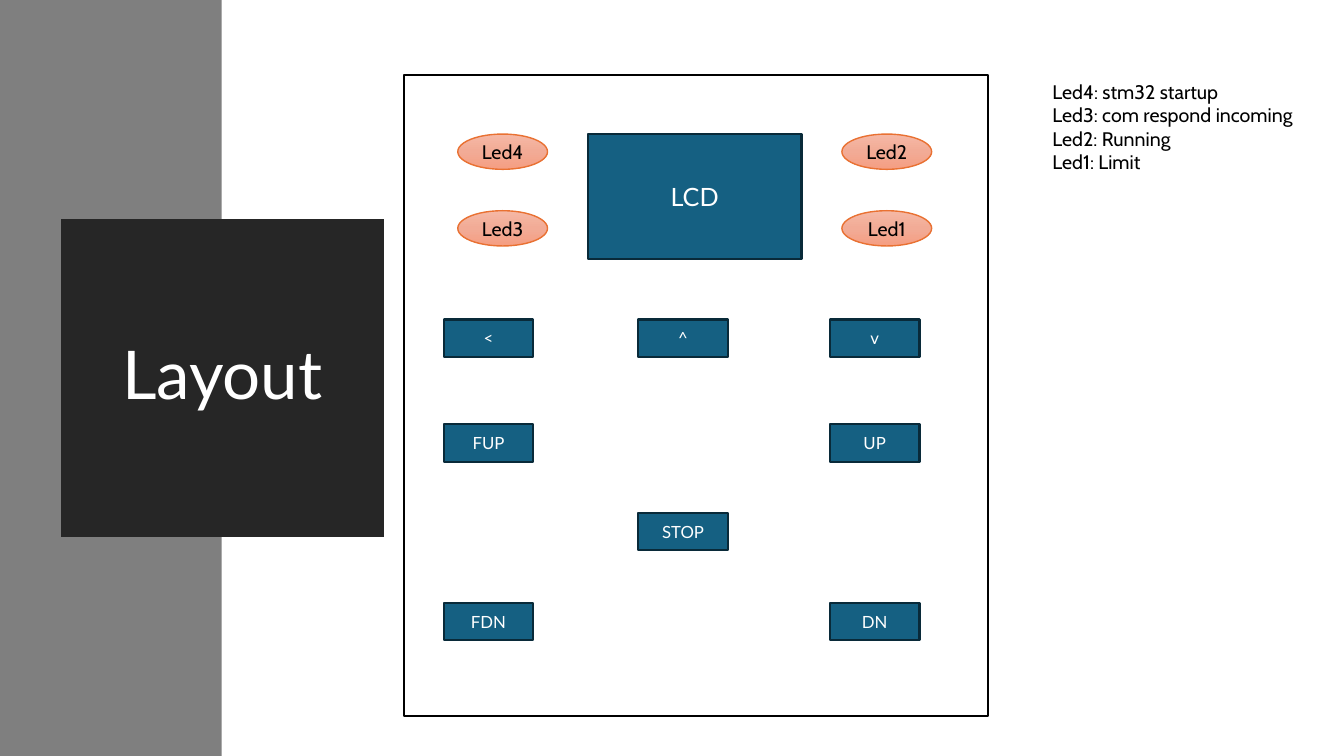
from copy import deepcopy

from pptx import Presentation
from pptx import util as u
from pptx.dml.color import RGBColor
from pptx.enum import shapes, text
from pptx.oxml import ns, xmlchemy

HEADING_FONT, LABEL_FONT = "Lato", "Cabin"
WHITE, BLACK = "FFFFFF", "000000"
PANEL_BLUE, PANEL_EDGE = "156082", "092A39"
LED_STOPS, LED_EDGE = ("F5B8A5", "F2AB96", "F59E82"), "E97132"
BAND_GREY, TITLE_DARK = "7F7F7F", "262626"


def colour(value):
    return RGBColor.from_string(value)


class PanelSlide:
    """Draws the parts of a control panel on one slide."""

    def __init__(self, slide):
        self.slide = slide

    def set_text(self, shape, lines, size, font, ink, align=text.PP_ALIGN.CENTER):
        frame = shape.text_frame
        frame.word_wrap = True
        frame.text = "\n".join(lines)
        for paragraph in frame.paragraphs:
            paragraph.alignment = align
            paragraph.font.size = u.Pt(size)
            paragraph.font.name = font
            paragraph.font.color.rgb = colour(ink)
        return frame

    def outline(self, shape, edge, width):
        shape.line.color.rgb = colour(edge)
        shape.line.width = u.Pt(width)

    def add(self, kind, place):
        shape = self.slide.shapes.add_shape(kind, *map(u.Inches, place))
        shape.shadow.inherit = False
        return shape

    def box(self, place, fill, edge=None, label=None, size=12):
        shape = self.add(shapes.MSO_SHAPE.RECTANGLE, place)
        shape.fill.solid()
        shape.fill.fore_color.rgb = colour(fill)
        if edge:
            self.outline(shape, edge, 1.5)
        else:
            shape.line.fill.background()
        if label:
            frame = self.set_text(shape, [label], size, HEADING_FONT, WHITE)
            frame.vertical_anchor = text.MSO_ANCHOR.MIDDLE
        return shape

    def led(self, left, top, label):
        shape = self.add(shapes.MSO_SHAPE.OVAL, (left, top, 0.89, 0.35))
        shape.fill.gradient()
        shape.fill.gradient_angle = 270
        first = shape._element.spPr.find(".//" + ns.qn("a:gs"))
        first.addnext(deepcopy(first))
        for index, stop in enumerate(shape.fill.gradient_stops):
            stop.position = index / 2
            stop.color.rgb = colour(LED_STOPS[index])
        self.outline(shape, LED_EDGE, 1)
        frame = self.set_text(shape, [label], 14, LABEL_FONT, BLACK)
        frame.vertical_anchor = text.MSO_ANCHOR.MIDDLE
        frame.word_wrap = False

    def title(self, place, label):
        shape = self.slide.shapes.title
        shape.left, shape.top, shape.width, shape.height = map(u.Inches, place)
        shape.fill.solid()
        shape.fill.fore_color.rgb = colour(TITLE_DARK)
        self.outline(shape, TITLE_DARK, 13.75)
        miter = xmlchemy.OxmlElement("a:miter")
        miter.set("lim", "800000")
        shape._element.spPr.find(ns.qn("a:ln")).append(miter)
        frame = self.set_text(shape, [label], 48, HEADING_FONT, WHITE)
        frame.vertical_anchor = text.MSO_ANCHOR.MIDDLE
        frame.auto_size = text.MSO_AUTO_SIZE.NONE
        frame.paragraphs[0].line_spacing = 0.9

    def legend(self, place, lines):
        shape = self.slide.shapes.add_textbox(*map(u.Inches, place))
        self.set_text(shape, lines, 14, LABEL_FONT, BLACK, text.PP_ALIGN.LEFT)

    def send_to_back(self, shape):
        self.slide.shapes._spTree.insert(2, shape._element)


def main():
    presentation = Presentation()
    presentation.slide_width = u.Inches(13.33)
    presentation.slide_height = u.Inches(7.5)
    slide = presentation.slides.add_slide(presentation.slide_layouts[0])
    subtitle = slide.placeholders[1]._element
    subtitle.getparent().remove(subtitle)

    panel = PanelSlide(slide)
    panel.send_to_back(panel.box((0, 0, 2.2, 7.5), BAND_GREY))
    panel.title((0.7, 2.27, 3.01, 2.96), "Layout")
    panel.box((4.01, 0.74, 5.79, 6.36), WHITE, BLACK)
    panel.box((5.83, 1.33, 2.12, 1.24), PANEL_BLUE, PANEL_EDGE, "LCD", 18)

    for left, labels in ((4.54, ("Led4", "Led3")), (8.35, ("Led2", "Led1"))):
        for row, label in enumerate(labels):
            panel.led(left, 1.33 + 0.76 * row, label)

    columns = (4.4, 6.33, 8.23)
    button_rows = (
        (3.17, ("<", "^", "v")),
        (4.21, ("FUP", None, "UP")),
        (5.09, (None, "STOP", None)),
        (5.98, ("FDN", None, "DN")),
    )
    for top, labels in button_rows:
        for left, label in zip(columns, labels):
            if label:
                panel.box((left, top, 0.89, 0.37), PANEL_BLUE, PANEL_EDGE, label)

    panel.legend((10.34, 0.74, 2.89, 1.04), (
        "Led4: stm32 startup",
        "Led3: com respond incoming",
        "Led2: Running",
        "Led1: Limit",
    ))
    presentation.save("out.pptx")


if __name__ == "__main__":
    main()
